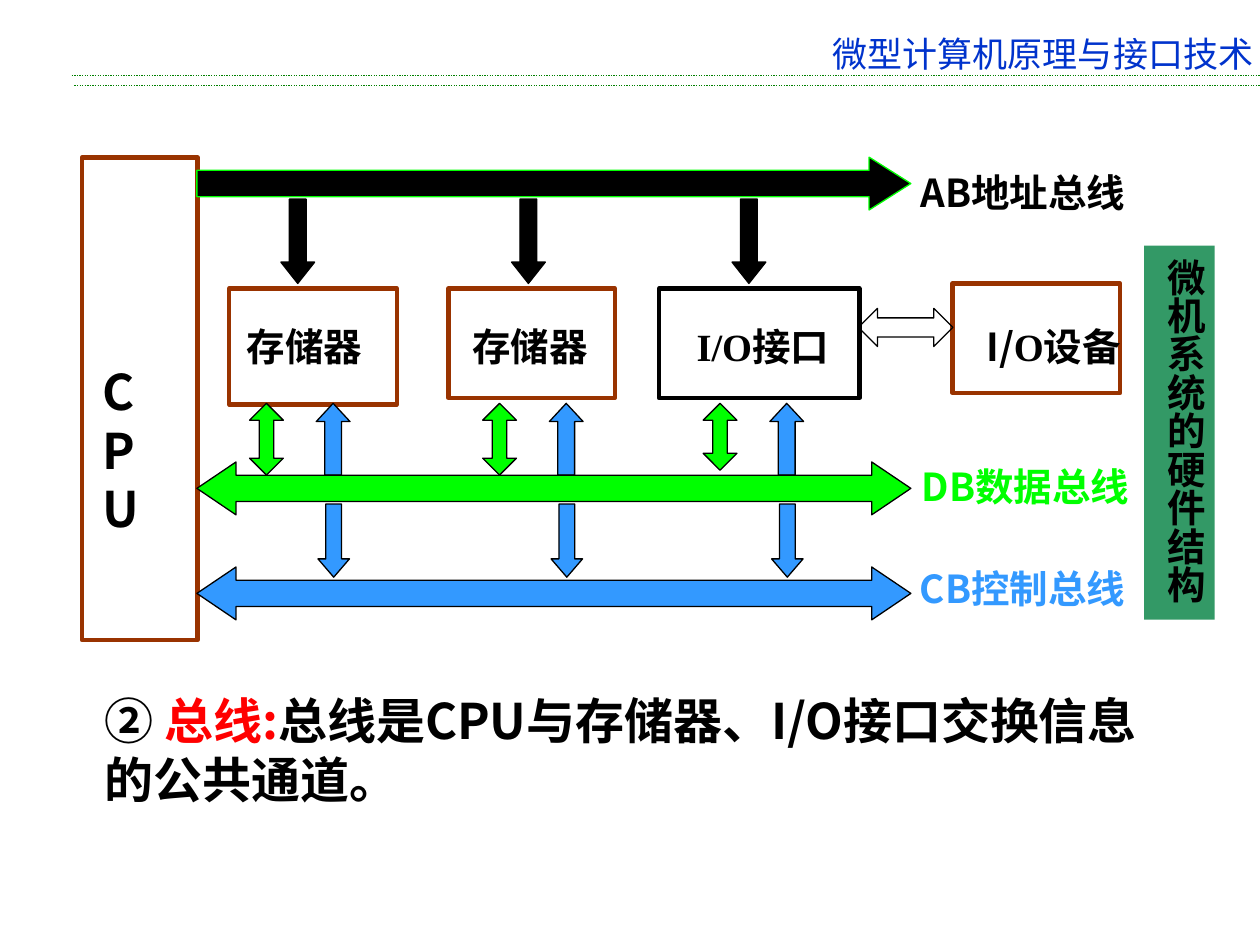
from dataclasses import dataclass

from lxml import etree
from pptx import Presentation
from pptx.dml.color import RGBColor
from pptx.enum.dml import MSO_LINE
from pptx.enum.shapes import MSO_CONNECTOR, MSO_SHAPE
from pptx.enum.text import MSO_ANCHOR, PP_ALIGN
from pptx.oxml.ns import qn
from pptx.util import Pt

RECT = MSO_SHAPE.RECTANGLE
UP, DOWN, UP_DOWN = MSO_SHAPE.UP_ARROW, MSO_SHAPE.DOWN_ARROW, MSO_SHAPE.UP_DOWN_ARROW
RIGHT, LEFT_RIGHT = MSO_SHAPE.RIGHT_ARROW, MSO_SHAPE.LEFT_RIGHT_ARROW
STRAIGHT = MSO_CONNECTOR.STRAIGHT
DOTTED = MSO_LINE.ROUND_DOT
TOP = MSO_ANCHOR.TOP
LEFT = PP_ALIGN.LEFT


@dataclass(frozen=True)
class Theme:
    sans: str = "Noto Sans CJK SC"
    serif: str = "Times New Roman"
    black: str = "000000"
    brown: str = "993300"
    green: str = "00FF00"
    blue: str = "3399FF"
    red: str = "FF0000"
    panel: str = "339966"
    rule: str = "008000"
    header: str = "0033CC"
    header_size: float = 20
    label_size: float = 22
    body_size: float = 28
    line_height: float = 1.2
    thin: float = 0.75
    thick: float = 2.5


class Page:
    def __init__(self, slide, theme):
        self.shapes = slide.shapes
        self.theme = theme

    def rule(self, left, top, right):
        line = self.shapes.add_connector(STRAIGHT, Pt(left), Pt(top), Pt(right), Pt(top))
        line.line.color.rgb = RGBColor.from_string(self.theme.rule)
        line.line.width = Pt(self.theme.thin)
        line.line.dash_style = DOTTED
        etree.SubElement(line._element.spPr, qn("a:effectLst"))

    def shape(self, kind, left, top, width, height, fill=None, line=None,
              weight=None, adjust=()):
        shape = self.shapes.add_shape(kind, Pt(left), Pt(top), Pt(width), Pt(height))
        shape.shadow.inherit = False
        if fill:
            shape.fill.solid()
            shape.fill.fore_color.rgb = RGBColor.from_string(fill)
        else:
            shape.fill.background()
        if line:
            shape.line.color.rgb = RGBColor.from_string(line)
            shape.line.width = Pt(weight or self.theme.thin)
        else:
            shape.line.fill.background()
        for index, value in enumerate(adjust):
            shape.adjustments[index] = value
        return shape

    def arrow(self, kind, left, top, width, height, fill, head, line=None):
        self.shape(kind, left, top, width, height, fill, line or self.theme.black,
                   adjust=(0.5, head))

    def text(self, left, top, width, height, paragraphs, size, **style):
        box = self.shapes.add_textbox(Pt(left), Pt(top), Pt(width), Pt(height))
        self.fill_text(box, paragraphs, size, **style)

    def fill_text(self, shape, paragraphs, size, color=None, bold=True,
                  insets=(7.2, 3.6, 7.2, 3.6)):
        """Fill a shape; each paragraph is a list of (text, font, color) spans."""
        frame = shape.text_frame
        frame.word_wrap = True
        frame.vertical_anchor = TOP
        (frame.margin_left, frame.margin_top,
         frame.margin_right, frame.margin_bottom) = map(Pt, insets)
        for index, spans in enumerate(paragraphs):
            para = frame.add_paragraph() if index else frame.paragraphs[0]
            para.alignment = LEFT
            para.line_spacing = Pt(size * self.theme.line_height)
            para.font.size = Pt(size)
            para.font.bold = bold
            for text, font, span_color in spans:
                span = para.add_run()
                span.text = text
                span.font.name = font
                span.font.color.rgb = RGBColor.from_string(
                    span_color or color or self.theme.black)
                east_asian = etree.SubElement(span._r.get_or_add_rPr(), qn("a:ea"))
                east_asian.set("typeface", self.theme.sans)


def build_header(page, theme):
    page.rule(42.5, 49, 720)
    page.rule(41, 43.2, 720)
    page.text(468.7, 15, 258, 30, [[("微型计算机原理与接口技术", theme.sans, None)]],
              theme.header_size, color=theme.header, bold=False)


def build_units(page, theme):
    cpu = page.shape(RECT, 46.8, 90, 66.2, 275.8, line=theme.brown, weight=theme.thick)
    page.fill_text(cpu, [[(letter, theme.sans, None)] for letter in "CPU"],
                   theme.body_size, insets=(11.5, 116.5, 3.6, 3.6))

    memory = [("存储器", theme.sans, None)]
    interface = [("I/O接口", theme.serif, None)]
    device = [("I/", theme.sans, None), ("O", theme.serif, None),
              ("设备", theme.sans, None)]
    units = [
        (131, 164.9, 95.8, 66.2, theme.brown, 133.9, memory),
        (256.3, 164.9, 95, 62.6, theme.brown, 262.8, memory),
        (376.6, 164.9, 114.5, 62.6, theme.black, 391, interface),
        (544.3, 162, 95.8, 62.6, theme.brown, 556.6, device),
    ]
    for left, top, width, height, line, text_left, spans in units:
        page.shape(RECT, left, top, width, height, line=line, weight=theme.thick)
        page.text(text_left, 181.3, 102, 33.8, [spans], theme.label_size)
    page.arrow(LEFT_RIGHT, 490.5, 176.2, 54, 21.8, None, 0.5)


def build_branches(page, theme):
    """Draw the short arrows that tie each unit to the three buses."""
    width = 19.3
    columns = [(142.6, 160.5, 41), (275.8, 292.3, 41), (401.8, 418.3, 38.2)]
    for data_left, address_left, data_height in columns:
        page.arrow(DOWN, address_left, 113.8, width, 48.2, theme.black, 0.63)
        page.arrow(UP_DOWN, data_left, 230.5, width, data_height, theme.green, 0.43)
        page.arrow(UP, data_left + 38.1, 230.5, width, 41, theme.blue, 0.54)
        page.arrow(DOWN, data_left + 39.1, 288, 18, 41.8, theme.blue, 0.58)


def build_buses(page, theme):
    buses = [
        (RIGHT, 89.8, theme.black, theme.green, 0.79, "AB地址总线", 519, 93.3),
        (LEFT_RIGHT, 324, theme.blue, theme.black, 0.74, "CB控制总线", 518.6, 319.6),
        (LEFT_RIGHT, 264, theme.green, theme.black, 0.74, "DB数据总线", 519.8, 260.8),
    ]
    for kind, top, fill, line, head, name, name_left, name_top in buses:
        page.arrow(kind, 112.5, top, 408, 30.2, fill, head, line)
        page.text(name_left, name_top, 144, 33.8, [[(name, theme.sans, None)]],
                  theme.label_size, color=fill)


def build_captions(page, theme):
    panel = page.shape(RECT, 653.8, 140.4, 40.3, 213.8, fill=theme.panel)
    page.fill_text(panel, [[("微机系统的硬件结构", theme.sans, None)]],
                   theme.label_size, insets=(3.6, 7.2, 3.6, 7.2))
    panel.text_frame._txBody.bodyPr.set("vert", "eaVert")

    page.text(52.6, 391, 625, 75, [[
        ("② ", theme.sans, None),
        ("总线:", theme.sans, theme.red),
        ("总线是CPU与存储器、I/O接口交换信息的公共通道。", theme.sans, None),
    ]], theme.body_size)


def main():
    deck = Presentation()
    deck.slide_width, deck.slide_height = Pt(720), Pt(540)
    theme = Theme()
    page = Page(deck.slides.add_slide(deck.slide_layouts[6]), theme)
    for build in (build_header, build_units, build_branches, build_buses, build_captions):
        build(page, theme)
    deck.save("out.pptx")


if __name__ == "__main__":
    main()
